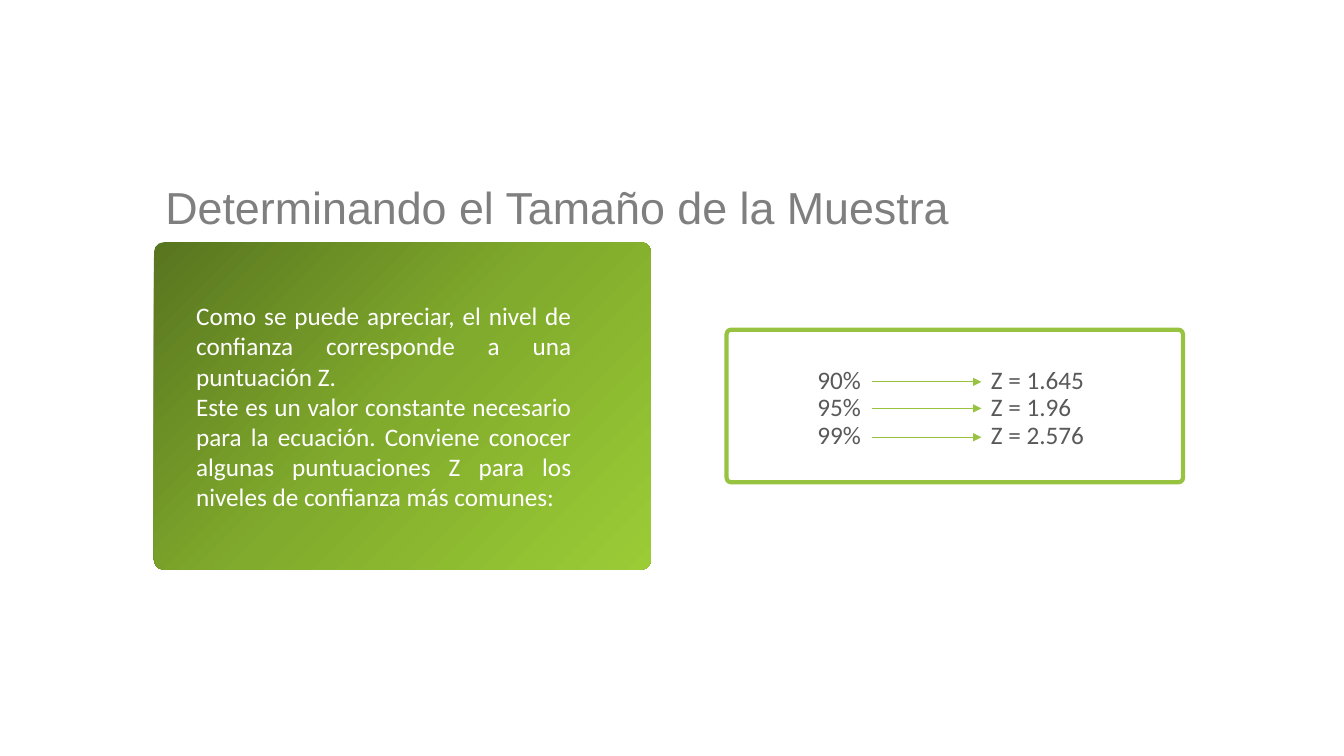
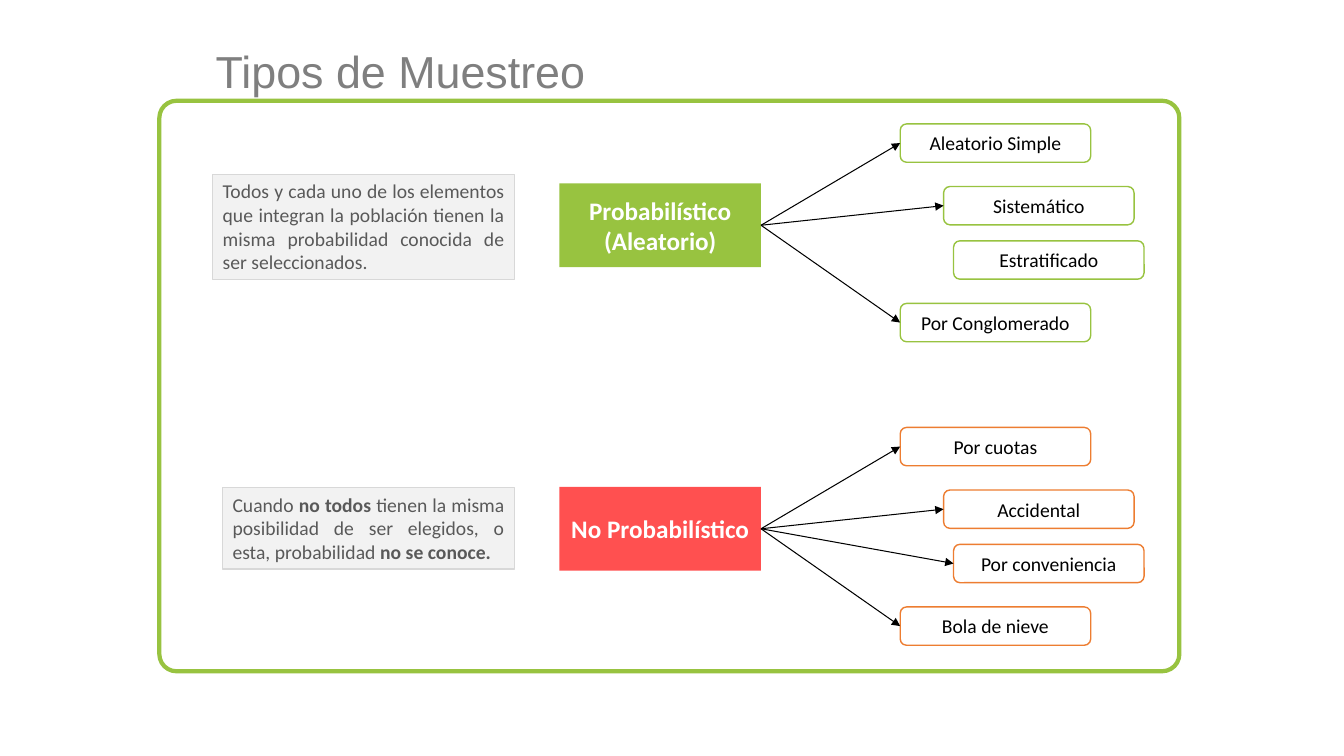
from copy import deepcopy

from lxml import etree
from pptx import Presentation
from pptx import util as u
from pptx.dml.color import RGBColor
from pptx.enum import shapes, text
from pptx.oxml.ns import qn

COLORS = {
    "white": "FFFFFF", "black": "000000", "title": "7F7F7F", "body": "595959",
    "green": "98C340", "red": "FF5050", "orange": "ED7D31",
    "note": "F2F2F2", "note_line": "D8D8D8",
}
GRADIENT = [(0, "58751F"), (0.5, "81AB2C"), (1, "9BCC36")]

RECT = shapes.MSO_SHAPE.RECTANGLE
ROUND = shapes.MSO_SHAPE.ROUNDED_RECTANGLE
TOP, MIDDLE = text.MSO_ANCHOR.TOP, text.MSO_ANCHOR.MIDDLE
LEFT, CENTER, JUSTIFY = (text.PP_ALIGN.LEFT, text.PP_ALIGN.CENTER,
                         text.PP_ALIGN.JUSTIFY)

# Text formats
TITLE = {"name": "Arial", "size": u.Pt(32), "color": "title"}
BODY = {"name": "Calibri", "size": u.Pt(18), "color": "body"}
INTRO = {**BODY, "color": "white"}
BLOCK = {**INTRO, "bold": True}
NOTE = {**BODY, "size": u.Pt(14)}
NODE = {**NOTE, "color": "black"}

# Sampling tree: node positions are relative to the top of the block
BLOCK_X, BLOCK_W, BLOCK_H = 399.6, 144, 59.8
NODE_W, NODE_H = 136.1, 27.4
NODE_PLACES = [(643, -42.5), (674, 2.2), (681.1, 41), (643, 85.7)]


def rgb(name):
    return RGBColor.from_string(COLORS.get(name, name))


def pts(*values):
    return [u.Pt(v) for v in values]


def write(sp, paragraphs, fmt, align=LEFT, anchor=TOP, spacing=None, tab=None):
    """Each paragraph is a list of runs; every second run is bold."""
    tf = sp.text_frame
    tf.word_wrap = True
    tf.vertical_anchor = anchor
    for i, runs in enumerate(paragraphs):
        p = tf.paragraphs[0] if i == 0 else tf.add_paragraph()
        p.alignment = align
        if spacing:
            p.line_spacing = spacing
        if tab:
            tabs = etree.SubElement(p._p.get_or_add_pPr(), qn("a:tabLst"))
            etree.SubElement(tabs, qn("a:tab"), pos=str(u.Pt(tab)), algn="l")
        for j, words in enumerate(runs):
            r = p.add_run()
            r.text = words
            for key, value in fmt.items():
                if key == "color":
                    r.font.color.rgb = rgb(value)
                else:
                    setattr(r.font, key, value)
            if j % 2:
                r.font.bold = True


def add_text(slide, box, paragraphs, fmt, **layout):
    sp = slide.shapes.add_textbox(*pts(*box))
    write(sp, paragraphs, fmt, **layout)


def add_box(slide, box, kind=RECT, fill="white", line=None, width=1, adj=None):
    sp = slide.shapes.add_shape(kind, *pts(*box))
    sp.shadow.inherit = False
    sp.fill.solid()
    sp.fill.fore_color.rgb = rgb(fill)
    if line:
        sp.line.color.rgb = rgb(line)
        sp.line.width = u.Pt(width)
    else:
        sp.line.fill.background()
    if adj:
        sp.adjustments[0] = adj
    return sp


def add_panel(slide, box):
    return add_box(slide, box, ROUND, line="green", width=3, adj=0.03)


def add_gradient_card(slide, box):
    sp = add_box(slide, box, ROUND, adj=0.03)
    sp.fill.gradient()
    sp.fill.gradient_angle = 315
    stops = sp._element.spPr.find(".//" + qn("a:gsLst"))
    stops.append(deepcopy(stops[0]))
    for stop, (position, color) in zip(sp.fill.gradient_stops, GRADIENT):
        stop.position = position
        stop.color.rgb = rgb(color)


def add_arrow(slide, start, end, color):
    line = slide.shapes.add_connector(shapes.MSO_CONNECTOR.STRAIGHT,
                                      *pts(*start, *end))
    line.line.color.rgb = rgb(color)
    line.line.width = u.Pt(0.75)
    etree.SubElement(line.line._get_or_add_ln(), qn("a:tailEnd"), type="triangle")
    etree.SubElement(line._element.spPr, qn("a:effectLst"))
    return line


def add_note(slide, box, runs):
    sp = add_box(slide, box, fill="note", line="note_line", width=0.75)
    write(sp, [runs], NOTE, align=JUSTIFY)


def add_tree(slide, top, name, fill, line, nodes):
    """A block with its nodes, given as (label, has arrow)."""
    block = add_box(slide, (BLOCK_X, top, BLOCK_W, BLOCK_H), fill=fill)
    write(block, [[name]], BLOCK, align=CENTER, anchor=MIDDLE)
    start = (BLOCK_X + BLOCK_W, top + BLOCK_H / 2)
    for (label, linked), (x, dy) in zip(nodes, NODE_PLACES):
        y = top + dy
        node = add_box(slide, (x, y, NODE_W, NODE_H), ROUND, line=line)
        write(node, [[label]], NODE, align=CENTER, anchor=MIDDLE)
        if linked:
            arrow = add_arrow(slide, start, (x, y + NODE_H / 2), "black")
            arrow.begin_connect(block, 3)
            arrow.end_connect(node, 1)


def build_sample_size(slide):
    # Panel, card and title
    add_panel(slide, (519, 235.5, 326, 109))
    add_gradient_card(slide, (110, 173, 355, 234))
    add_text(slide, (111, 112.3, 849, 51), [["Determinando el Tamaño de la Muestra"]],
             TITLE, align=JUSTIFY, anchor=MIDDLE, spacing=1.5)
    add_text(slide, (133, 211, 282.2, 160), [
        ["Como se puede apreciar, el nivel de confianza corresponde a una "
         "puntuación Z."],
        ["Este es un valor constante necesario para la ecuación. Conviene conocer "
         "algunas puntuaciones Z para los niveles de confianza más comunes:"],
    ], INTRO, align=JUSTIFY)

    # Confidence levels and their Z scores
    levels = [("90%", "1.645"), ("95%", "1.96"), ("99%", "2.576")]
    add_text(slide, (576.7, 259.2, 211, 66),
             [[f"{level}\tZ = {z}"] for level, z in levels],
             BODY, spacing=0.9, tab=124)
    for y in (272.8, 291.7, 312.3):
        add_arrow(slide, (623, y), (701, y), "green")


def build_sampling_types(slide):
    # Panel and title
    add_panel(slide, (113.8, 72, 728.6, 407.5))
    add_text(slide, (147, 29, 505, 43), [["Tipos de Muestreo"]],
             TITLE, align=JUSTIFY, anchor=MIDDLE)

    # Definitions
    add_note(slide, (152, 124.6, 215.5, 75), [
        "Todos y cada uno de los elementos que integran la población tienen la "
        "misma probabilidad conocida de ser seleccionados."])
    add_note(slide, (159, 348.5, 208.5, 58), [
        "Cuando ", "no todos",
        " tienen la misma posibilidad de ser elegidos, o esta, probabilidad ",
        "no se conoce."])

    # Sampling trees
    add_tree(slide, 131, "Probabilístico (Aleatorio)", "green", "green", [
        ("Aleatorio Simple", True), ("Sistemático", True),
        ("Estratificado", False), ("Por Conglomerado", True)])
    add_tree(slide, 347.8, "No Probabilístico", "red", "orange", [
        ("Por cuotas", True), ("Accidental", True),
        ("Por conveniencia", True), ("Bola de nieve", True)])


def main():
    prs = Presentation()
    prs.slide_width, prs.slide_height = pts(960, 540)
    for build in (build_sample_size, build_sampling_types):
        build(prs.slides.add_slide(prs.slide_layouts[6]))
    prs.save("out.pptx")


if __name__ == "__main__":
    main()
